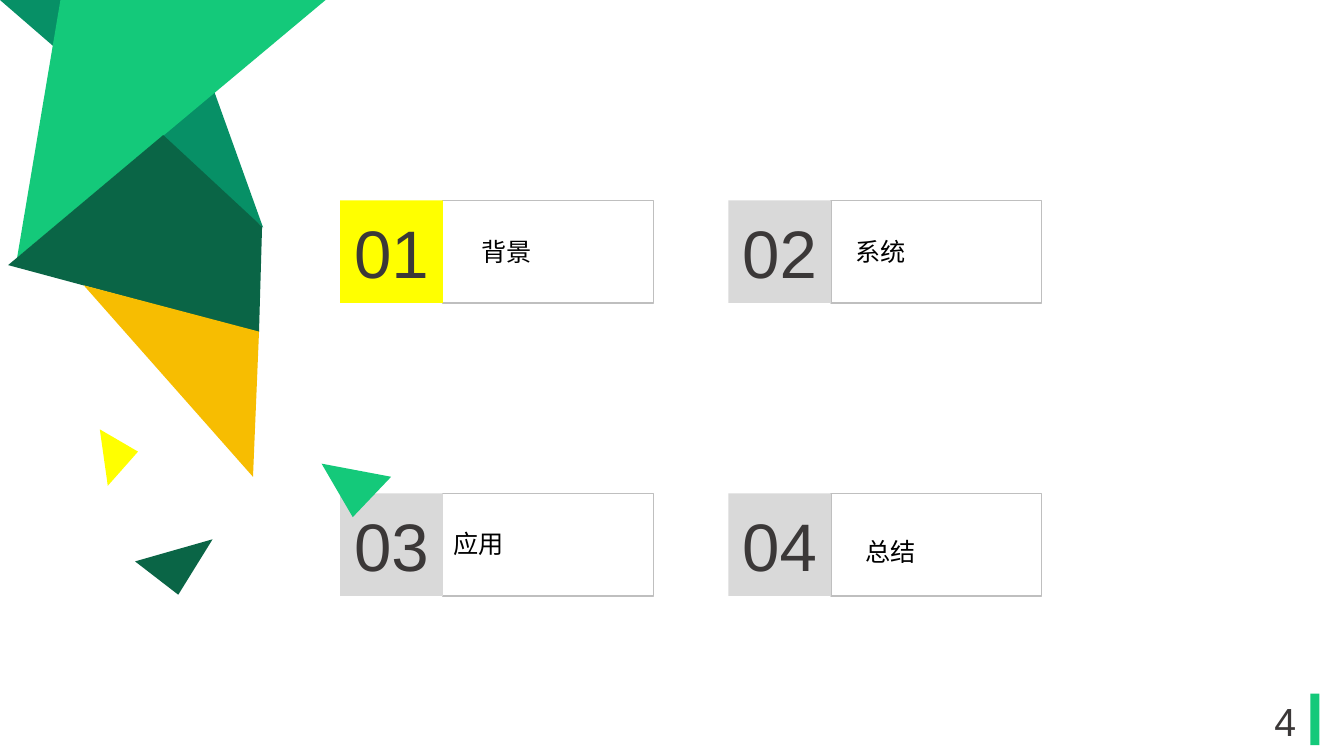
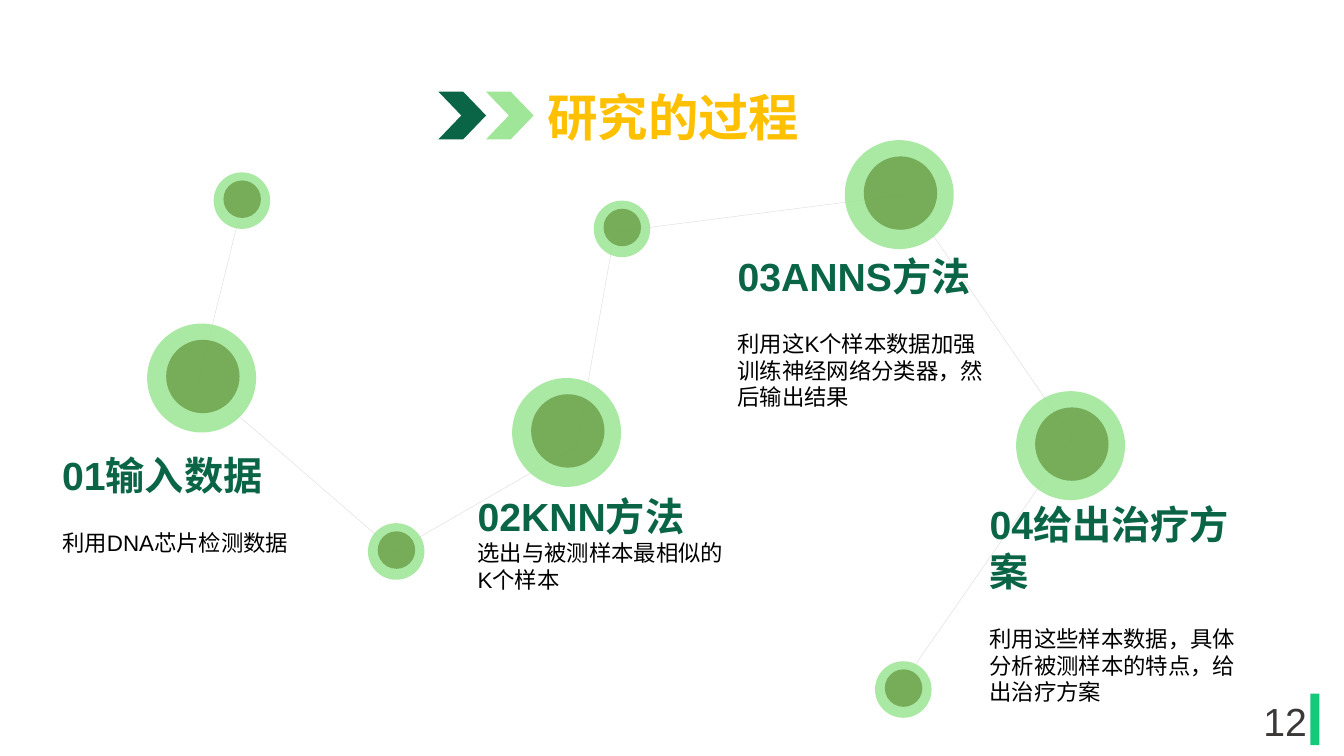
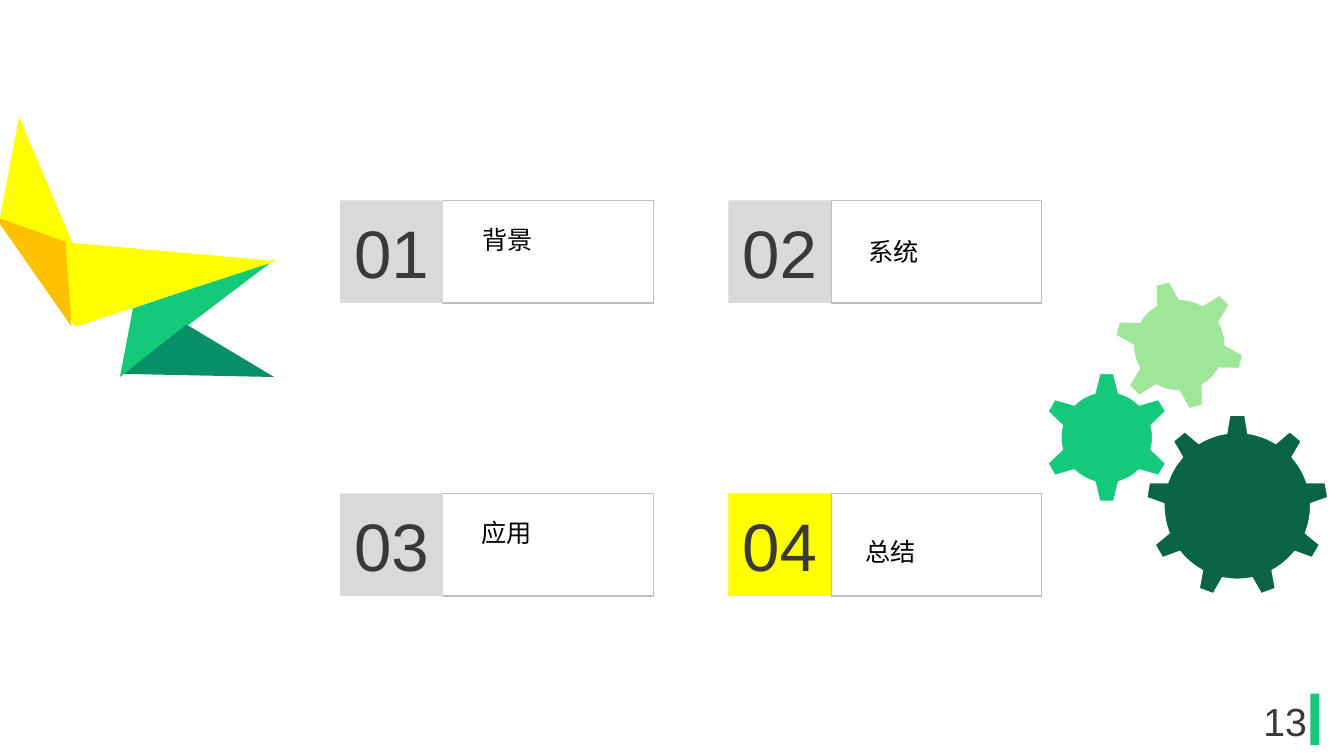
"""Builds two agenda slides and one research process slide."""
from dataclasses import dataclass
from math import asin, cos, pi, radians, sin
from typing import NamedTuple, Optional

from lxml.etree import SubElement
from pptx import Presentation
from pptx.dml.color import RGBColor
from pptx.enum.shapes import MSO_SHAPE
from pptx.enum.text import MSO_ANCHOR, MSO_AUTO_SIZE, PP_ALIGN
from pptx.oxml.ns import qn
from pptx.shapes.autoshape import Shape
from pptx.slide import Slide
from pptx.text.text import TextFrame, _Paragraph
from pptx.util import Pt

GREEN = RGBColor(0x14, 0xC9, 0x7A)
TEAL = RGBColor(0x07, 0x90, 0x66)
DARK_GREEN = RGBColor(0x0A, 0x65, 0x46)
PALE_GREEN = RGBColor(0x9F, 0xE6, 0x98)
OLIVE = RGBColor(0x70, 0xA4, 0x4F)
AMBER = RGBColor(0xF7, 0xBD, 0x01)
GOLD = RGBColor(0xFF, 0xC0, 0x00)
YELLOW = RGBColor(0xFF, 0xFF, 0x00)
LIGHT_GREY = RGBColor(0xD9, 0xD9, 0xD9)
MID_GREY = RGBColor(0xBF, 0xBF, 0xBF)
CHARCOAL = RGBColor(0x3B, 0x38, 0x38)
BLACK = RGBColor(0, 0, 0)
WHITE = RGBColor(0xFF, 0xFF, 0xFF)

FONT = "Arial"
CARD_COLUMNS = (243, 520.2)
CARD_ROWS = (143.1, 352.4)
BADGE_SIZE = 73.3
FRAME_WIDTH = 150.5
NODE_OPACITY = 88

Point = tuple[float, float]


class Box(NamedTuple):
    left: float
    top: float
    width: float
    height: float


class Facet(NamedTuple):
    color: RGBColor
    corners: list[Point]


@dataclass(frozen=True)
class Topic:
    title: str
    label_left: float
    label_top: float


@dataclass(frozen=True)
class NodeSize:
    halo: float
    core: float
    core_left: float
    core_top: float


@dataclass(frozen=True)
class Node:
    left: float
    top: float
    size: NodeSize


@dataclass(frozen=True)
class Step:
    box: Box
    heading: str
    detail: str
    gap: float = 22


@dataclass(frozen=True)
class Gear:
    center: Point
    teeth: int
    body: float
    reach: float
    tip_half: float
    base_half: float
    color: RGBColor
    turn: float = 0


LARGE = NodeSize(77.8, 52.4, 13.6, 11.6)
SMALL = NodeSize(40.4, 26.8, 7, 5.8)

BIRD = [
    Facet(TEAL, [(129.6, 0), (188, 162.7), (0, 0)]),
    Facet(GREEN, [(232.6, 0), (43.2, 0), (12.2, 184.3)]),
    Facet(DARK_GREEN, [(187.2, 162), (116.6, 96.5), (5.8, 189.4), (185, 237.6)]),
    Facet(AMBER, [(185, 236.9), (180.7, 340.6), (59.8, 203.8)]),
    Facet(DARK_GREEN, [(96.5, 401), (127.4, 424.8), (151.9, 385.2)]),
    Facet(YELLOW, [(71.3, 306.7), (77, 347), (98.6, 322.6)]),
]
FRONT_SHARD = Facet(GREEN, [(279.4, 340.6), (229.7, 331.2), (252, 369.4)])
FOLDED_BIRD = [
    Facet(GREEN, [(195.8, 185.8), (85.7, 269.3), (95, 220.3)]),
    Facet(YELLOW, [(197.3, 186.5), (54, 233.3), (-0.7, 159.1), (13.7, 83.5), (51.8, 173.5)]),
    Facet(TEAL, [(88.6, 267.1), (195.8, 269.3), (133.2, 231.8)]),
    Facet(GOLD, [(46.8, 172.8), (51.1, 233.3), (-3.6, 154.8)]),
]
GEARS = [
    Gear((883.8, 361.4), 9, 52.4, 65, 5.4, 7.6, DARK_GREEN),
    Gear((790.6, 312.5), 6, 32.8, 46, 5, 8.5, GREEN),
    Gear((842.4, 246.6), 6, 32.8, 46, 5, 8.5, PALE_GREEN, -15),
]
OPENING_TOPICS = [
    Topic("背景", 337, 165),
    Topic("系统", 604, 165),
    Topic("应用", 316.8, 373.7),
    Topic("总结", 611.3, 379.4),
]
CLOSING_TOPICS = [
    Topic("背景", 337.7, 157),
    Topic("系统", 613.4, 165),
    Topic("应用", 337, 365.8),
    Topic("总结", 611.3, 379.4),
]
ROUTE = [
    (174.2, 141.1), (141.8, 272.2), (282.2, 393.8), (411.8, 319),
    (439.2, 165.6), (646.6, 139), (766.1, 313.2), (640.1, 494.6),
]
NODES = [
    Node(152.6, 123.1, SMALL),
    Node(105.1, 231.1, LARGE),
    Node(262.8, 373.7, SMALL),
    Node(424.1, 143.3, SMALL),
    Node(625, 472.3, SMALL),
    Node(365.8, 270, LARGE),
    Node(603.4, 100.1, LARGE),
    Node(725.8, 279.4, LARGE),
]
STEPS = [
    Step(Box(37.4, 319, 192.2, 82), "01输入数据", "利用DNA芯片检测数据"),
    Step(Box(334.1, 347.8, 192.2, 80), "02KNN方法", "选出与被测样本最相似的K个样本", 0),
    Step(Box(519.8, 176.4, 192.2, 121), "03ANNS方法",
         "利用这K个样本数据加强训练神经网络分类器，然后输出结果"),
    Step(Box(699.8, 353.5, 192.2, 155), "04给出治疗方案",
         "利用这些样本数据，具体分析被测样本的特点，给出治疗方案"),
]


def paint(shape: Shape, fill: Optional[RGBColor] = None,
          line: Optional[RGBColor] = None, weight: float = 1) -> None:
    shape.shadow.inherit = False
    if fill is None:
        shape.fill.background()
    else:
        shape.fill.solid()
        shape.fill.fore_color.rgb = fill
    if line is None:
        shape.line.fill.background()
    else:
        shape.line.color.rgb = line
        shape.line.width = Pt(weight)


def add_preset(slide: Slide, kind: MSO_SHAPE, box: Box, fill: Optional[RGBColor] = None,
               line: Optional[RGBColor] = None) -> Shape:
    shape = slide.shapes.add_shape(kind, *map(Pt, box))
    paint(shape, fill, line)
    return shape


def add_outline(slide: Slide, corners: list[Point], fill: Optional[RGBColor] = None,
                line: Optional[RGBColor] = None, weight: float = 1,
                close: bool = True) -> None:
    start, *rest = [(Pt(x), Pt(y)) for x, y in corners]
    builder = slide.shapes.build_freeform(*start, scale=1.0)
    builder.add_line_segments(rest, close=close)
    paint(builder.convert_to_shape(), fill, line, weight)


def write(paragraph: _Paragraph, text: str, size: float, color: RGBColor,
          bold: bool = False, align: PP_ALIGN = PP_ALIGN.LEFT) -> None:
    paragraph.text = text
    paragraph.alignment = align
    paragraph.font.name = FONT
    paragraph.font.size = Pt(size)
    paragraph.font.bold = bold
    paragraph.font.color.rgb = color


def add_text(slide: Slide, box: Box) -> TextFrame:
    frame = slide.shapes.add_textbox(*map(Pt, box)).text_frame
    frame.word_wrap = True
    frame.auto_size = MSO_AUTO_SIZE.SHAPE_TO_FIT_TEXT
    return frame


def add_footer(slide: Slide, number: int) -> None:
    bar = add_preset(slide, MSO_SHAPE.ROUNDED_RECTANGLE, Box(936, 495.4, 6.5, 36.8), GREEN)
    bar.adjustments[0] = 0
    frame = add_text(slide, Box(890.6, 500.4, 54.8, 28.8))
    frame.auto_size = MSO_AUTO_SIZE.NONE
    frame.vertical_anchor = MSO_ANCHOR.MIDDLE
    write(frame.paragraphs[0], str(number), 28, CHARCOAL, align=PP_ALIGN.CENTER)


def add_facets(slide: Slide, facets: list[Facet]) -> None:
    for facet in facets:
        add_outline(slide, facet.corners, facet.color)


def add_cards(slide: Slide, topics: list[Topic], current: int) -> None:
    for index, topic in enumerate(topics):
        row, column = divmod(index, len(CARD_COLUMNS))
        left, top = CARD_COLUMNS[column], CARD_ROWS[row]
        add_preset(slide, MSO_SHAPE.RECTANGLE,
                   Box(left + BADGE_SIZE, top, FRAME_WIDTH, BADGE_SIZE), line=MID_GREY)
        badge = add_preset(slide, MSO_SHAPE.RECTANGLE, Box(left, top, BADGE_SIZE, BADGE_SIZE),
                           YELLOW if index + 1 == current else LIGHT_GREY)
        badge.text_frame.vertical_anchor = MSO_ANCHOR.MIDDLE
        write(badge.text_frame.paragraphs[0], f"{index + 1:02}", 48, CHARCOAL,
              align=PP_ALIGN.CENTER)
        label = add_text(slide, Box(topic.label_left, topic.label_top, 108.8, 28.8))
        write(label.paragraphs[0], topic.title, 18, BLACK)


def add_disc(slide: Slide, left: float, top: float, diameter: float, color: RGBColor) -> None:
    disc = add_preset(slide, MSO_SHAPE.OVAL, Box(left, top, diameter, diameter), color)
    tint = disc.fill._xPr.find(qn("a:solidFill"))[0]
    SubElement(tint, qn("a:alpha")).set("val", str(NODE_OPACITY * 1000))


def add_node(slide: Slide, node: Node) -> None:
    size = node.size
    add_disc(slide, node.left, node.top, size.halo, PALE_GREEN)
    add_disc(slide, node.left + size.core_left, node.top + size.core_top, size.core, OLIVE)


def add_step(slide: Slide, step: Step) -> None:
    frame = add_text(slide, step.box)
    write(frame.paragraphs[0], step.heading, 28, DARK_GREEN, bold=True)
    detail = frame.add_paragraph()
    write(detail, step.detail, 16, BLACK)
    detail.space_before = Pt(step.gap)


def add_gear(slide: Slide, gear: Gear, arc_parts: int = 6) -> None:
    def at(angle: float, radius: float) -> Point:
        return (gear.center[0] + radius * sin(angle), gear.center[1] - radius * cos(angle))

    pitch = 2 * pi / gear.teeth
    base = asin(gear.base_half / gear.body)
    tip = asin(gear.tip_half / gear.reach)
    corners: list[Point] = []
    for tooth in range(gear.teeth):
        middle = radians(gear.turn) + tooth * pitch
        corners += [at(middle - tip, gear.reach), at(middle + tip, gear.reach)]
        corners += [at(middle + base + (pitch - 2 * base) * part / arc_parts, gear.body)
                    for part in range(arc_parts + 1)]
    add_outline(slide, corners, gear.color, WHITE)


def build_opening(slide: Slide) -> None:
    add_facets(slide, BIRD)
    add_cards(slide, OPENING_TOPICS, current=1)
    add_facets(slide, [FRONT_SHARD])


def build_process(slide: Slide) -> None:
    add_outline(slide, ROUTE, line=LIGHT_GREY, weight=0.25, close=False)
    title = add_text(slide, Box(311, 57.6, 339.8, 51))
    write(title.paragraphs[0], "研究的过程", 36, GOLD, bold=True, align=PP_ALIGN.CENTER)
    for index, color in enumerate((DARK_GREEN, PALE_GREEN)):
        chevron = add_preset(slide, MSO_SHAPE.CHEVRON, Box(313.2 + 34 * index, 65.5, 34, 34), color)
        chevron.adjustments[0] = 0.48
    for node in NODES:
        add_node(slide, node)
    for step in STEPS:
        add_step(slide, step)


def build_closing(slide: Slide) -> None:
    add_cards(slide, CLOSING_TOPICS, current=4)
    add_facets(slide, FOLDED_BIRD)
    for gear in GEARS:
        add_gear(slide, gear)


def main() -> None:
    deck = Presentation()
    deck.slide_width, deck.slide_height = Pt(960), Pt(540)
    for number, build in ((4, build_opening), (12, build_process), (13, build_closing)):
        slide = deck.slides.add_slide(deck.slide_layouts[6])
        add_footer(slide, number)
        build(slide)
    deck.save("out.pptx")


if __name__ == "__main__":
    main()
